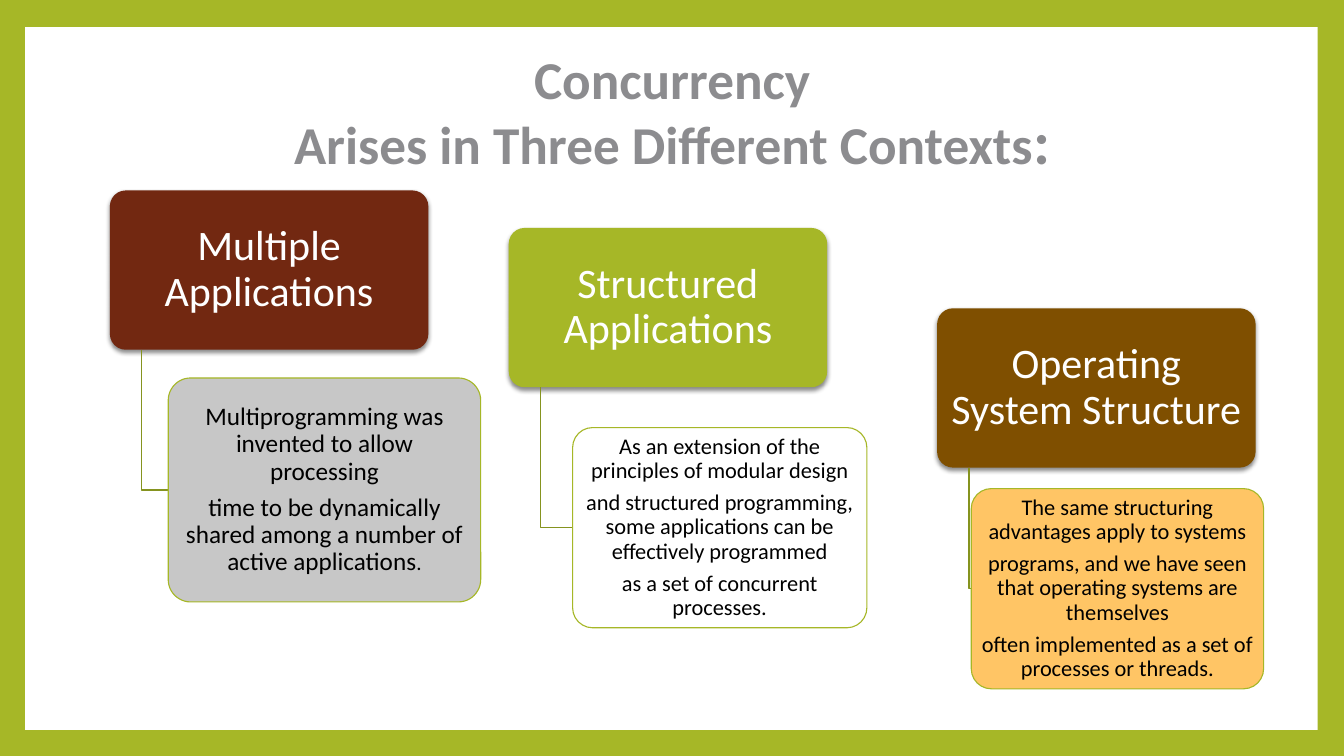
from lxml.etree import SubElement
from pptx import Presentation
from pptx.dml.color import RGBColor
from pptx.enum.shapes import MSO_SHAPE as Preset
from pptx.enum.text import MSO_ANCHOR as Anchor, PP_ALIGN as Align
from pptx.oxml.ns import qn
from pptx.util import Pt

COLORS = {
    "lime": "A6B727", "olive": "85931F", "white": "FFFFFF", "black": "000000",
    "gray": "8C8C8F", "silver": "C7C7C7", "rust": "722811", "brown": "7F4F00",
    "apricot": "FFC565",
}
HEADER_SIZE = (227.5, 113.8)

# Header place and text, then body box, colour, size and paragraphs of runs
CONTEXTS = [
    {"at": (78.5, 136), "color": "rust", "title": "Multiple Applications",
     "body": (120.2, 270, 223.2, 160), "body_color": "silver", "size": 18,
     "text": [[("Multiprogramming was invented to allow processing", 18)],
              [("time to be dynamically shared among a number of active applications", 18),
               (".", 15)]]},
    {"at": (363.4, 162.8), "color": "lime", "title": "Structured Applications",
     "body": (409, 305.4, 210.2, 143), "body_color": "white", "size": 16,
     "text": [[("As an extension of the principles of modular design", 16)],
              [("and structured programming, some applications can be "
                "effectively programmed", 16)],
              [("as a set of concurrent processes.", 16)]]},
    {"at": (669.4, 220.2), "color": "brown", "title": "Operating System Structure",
     "body": (693.8, 349, 208.8, 143), "body_color": "apricot", "size": 16,
     "text": [[("The same structuring advantages apply to systems", 16)],
              [("programs, and we have seen that operating systems are themselves", 16)],
              [("often implemented as a set of processes or threads.", 16)]]},
]


def rgb(name):
    return RGBColor.from_string(COLORS[name])


def apply(target, values):
    for name, value in values.items():
        setattr(target, name, value)


class SlideBuilder:
    font = "Calibri"
    line_width = 0.79

    def __init__(self, slide):
        self.slide = slide

    def background(self, color):
        fill = self.slide.background.fill
        fill.solid()
        fill.fore_color.rgb = rgb(color)

    def box(self, preset, bounds, color, outline=None):
        shape = self.slide.shapes.add_shape(preset, *map(Pt, bounds))
        shape.shadow.inherit = False
        shape.fill.solid()
        shape.fill.fore_color.rgb = rgb(color)
        self.outline(shape, outline)
        return shape

    def rounded(self, bounds, color, outline=None):
        shape = self.box(Preset.ROUNDED_RECTANGLE, bounds, color, outline)
        shape.adjustments[0] = 0.1
        return shape

    def outline(self, shape, color):
        if color is None:
            shape.line.fill.background()
        else:
            shape.line.color.rgb = rgb(color)
            shape.line.width = Pt(self.line_width)

    def drop_shadow(self, shape):
        effects = shape._element.spPr.find(qn("a:effectLst"))
        shadow = SubElement(effects, qn("a:outerShdw"), blurRad=str(Pt(3)),
                            dist=str(Pt(2)), dir="5400000", rotWithShape="0")
        color = SubElement(shadow, qn("a:srgbClr"), val=COLORS["black"])
        SubElement(color, qn("a:alpha"), val="45000")

    def elbow(self, start_x, start_y, end_x, end_y):
        builder = self.slide.shapes.build_freeform(Pt(start_x), Pt(start_y))
        builder.add_line_segments(
            [(Pt(start_x), Pt(end_y)), (Pt(end_x), Pt(end_y))], close=False)
        shape = builder.convert_to_shape()
        shape.shadow.inherit = False
        shape.fill.background()
        self.outline(shape, "olive")

    def text(self, shape, paragraphs, color, insets=(3, 2), after=0, bold=False):
        across, down = map(Pt, insets)
        frame = shape.text_frame
        apply(frame, {"word_wrap": True, "vertical_anchor": Anchor.MIDDLE,
                      "margin_left": across, "margin_right": across,
                      "margin_top": down, "margin_bottom": down})
        for index, runs in enumerate(paragraphs):
            paragraph = frame.add_paragraph() if index else frame.paragraphs[0]
            apply(paragraph, {"alignment": Align.CENTER, "line_spacing": 0.9,
                              "space_before": Pt(0), "space_after": Pt(after)})
            for words, size in runs:
                if words == "\n":
                    paragraph.add_line_break()
                    continue
                run = paragraph.add_run()
                run.text = words
                apply(run.font, {"name": self.font, "size": Pt(size), "bold": bold})
                run.font.color.rgb = rgb(color)

    def title(self, bounds, runs):
        shape = self.slide.shapes.add_textbox(*map(Pt, bounds))
        self.text(shape, [runs], "gray", (7.2, 3.6), bold=True)

    def context(self, context):
        left, top = context["at"]
        width, height = HEADER_SIZE
        body_left, body_top, _, body_height = context["body"]

        # Header
        header = self.rounded((left, top, width, height), context["color"])
        self.drop_shadow(header)
        self.text(header, [[(context["title"], 30)]], "white", (4.5, 3), after=10.5)

        # Elbow from the header to the middle of the body
        self.elbow(left + width / 10, top + height,
                   body_left, body_top + body_height / 2)

        # Body
        body = self.rounded(context["body"], context["body_color"], "lime")
        self.text(body, context["text"], "black", after=0.35 * context["size"])


def main():
    presentation = Presentation()
    apply(presentation, {"slide_width": Pt(960), "slide_height": Pt(540)})
    slide = presentation.slides.add_slide(presentation.slide_layouts[6])
    builder = SlideBuilder(slide)

    # Frame and title
    builder.background("lime")
    builder.box(Preset.RECTANGLE, (18, 19.4, 923.2, 502), "white")
    builder.title((91.4, 29.5, 777.6, 106.6),
                  [("Concurrency", 38), ("\n", 38),
                   ("Arises in Three Different Contexts", 38), (":", 44)])

    # Three contexts
    for context in CONTEXTS:
        builder.context(context)

    presentation.save("out.pptx")


if __name__ == "__main__":
    main()
